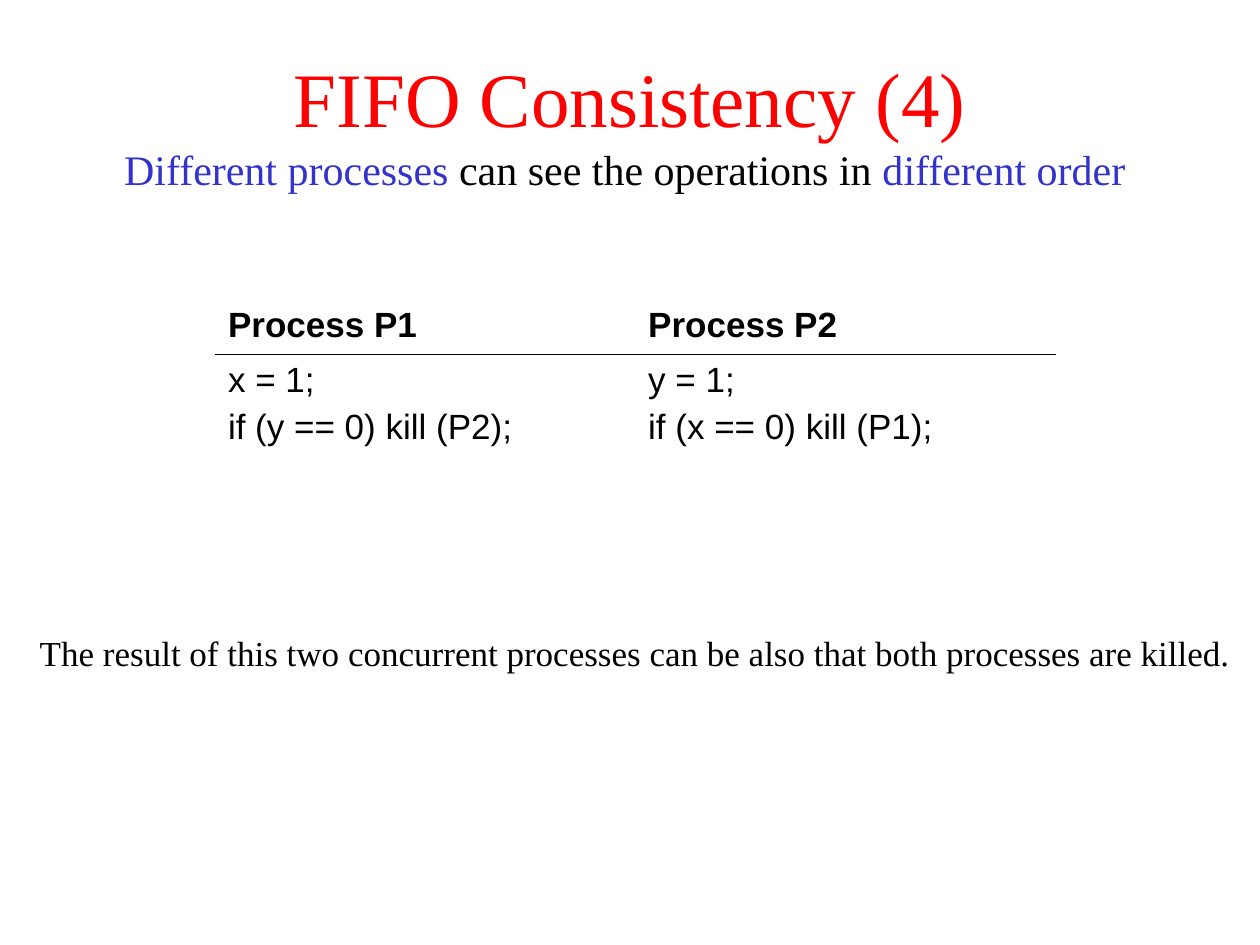
import pptx
import pptx.util
import pptx.dml.color
import pptx.enum.text
import pptx.oxml
import pptx.oxml.ns

Inches = pptx.util.Inches
Pt = pptx.util.Pt
SERIF = "Times New Roman"
SANS = "Arial"
BLACK = "000000"
RED = "FF0000"
BLUE = "3333CC"
PLAIN = "{2D5ABB26-0587-4C30-8999-92F81FD0307C}"


def paint(target, color):
    target.rgb = pptx.dml.color.RGBColor.from_string(color)


def write(para, text, size, color=BLACK, font=SERIF, bold=False):
    run = para.add_run()
    run.text = text
    run.font.size = Pt(size)
    run.font.name = font
    run.font.bold = bold
    paint(run.font.color, color)


def place(shape, left, top, width, height, anchor):
    shape.left, shape.top = Inches(left), Inches(top)
    shape.width, shape.height = Inches(width), Inches(height)
    frame = shape.text_frame
    frame.word_wrap = True
    frame.auto_size = pptx.enum.text.MSO_AUTO_SIZE.NONE
    frame.vertical_anchor = anchor
    para = frame.paragraphs[0]
    para.alignment = pptx.enum.text.PP_ALIGN.CENTER
    return para


def add_title(slide):
    para = place(slide.shapes.title, 0, 0, 10, 1.94,
                 pptx.enum.text.MSO_ANCHOR.MIDDLE)
    write(para, "FIFO Consistency (4)", 44, RED)
    para.add_line_break()
    write(para, "Different processes", 24, BLUE)
    write(para, " can see the operations in ", 24)
    write(para, "different order ", 24, BLUE)


def add_body(slide):
    para = place(slide.placeholders[1], 0, 4.95, 10, 0.92,
                 pptx.enum.text.MSO_ANCHOR.TOP)
    para.line_spacing = 0.9
    para.space_before = Pt(5)
    props = para._p.get_or_add_pPr()
    props.set("marL", str(Inches(0.38)))
    props.set("indent", str(Inches(-0.38)))
    props.append(pptx.oxml.parse_xml(
        "<a:buNone %s/>" % pptx.oxml.ns.nsdecls("a")))
    write(para, " ", 24)
    write(para, "The result of this two concurrent processes can be also "
          "that both processes are killed.", 20)


def rule(cell, side):
    cell._tc.get_or_add_tcPr().insert(0, pptx.oxml.parse_xml(
        '<a:%s %s w="%d"><a:solidFill><a:srgbClr val="%s"/></a:solidFill>'
        "</a:%s>" % (side, pptx.oxml.ns.nsdecls("a"), Pt(0.45), BLACK, side)))


def fill(cell, lines, bold):
    cell.fill.background()
    frame = cell.text_frame
    for i, line in enumerate(lines):
        para = frame.add_paragraph() if i else frame.paragraphs[0]
        para.space_before = Pt(5)
        write(para, line, 20, font=SANS, bold=bold)


def add_grid(slide):
    rows = [
        [["Process P1"], ["Process P2"]],
        [["x = 1;", "if (y == 0) kill (P2);"],
         ["y = 1;", "if (x == 0) kill (P1);"]],
    ]
    grid = slide.shapes.add_table(2, 2, Inches(1.71), Inches(2.38),
                                  Inches(6.67), Inches(1.88)).table
    grid.first_row = False
    grid.horz_banding = False
    grid._tbl.tblPr.find(pptx.oxml.ns.qn("a:tableStyleId")).text = PLAIN
    for row, height in zip(grid.rows, (0.43, 1.44)):
        row.height = Inches(height)
    for r, row in enumerate(rows):
        for c, lines in enumerate(row):
            cell = grid.cell(r, c)
            fill(cell, lines, r == 0)
            rule(cell, "lnT" if r else "lnB")


def main():
    deck = pptx.Presentation()
    deck.slide_width, deck.slide_height = Inches(10), Inches(7.5)
    slide = deck.slides.add_slide(deck.slide_layouts[1])
    add_title(slide)
    add_body(slide)
    add_grid(slide)
    deck.save("out.pptx")


main()
